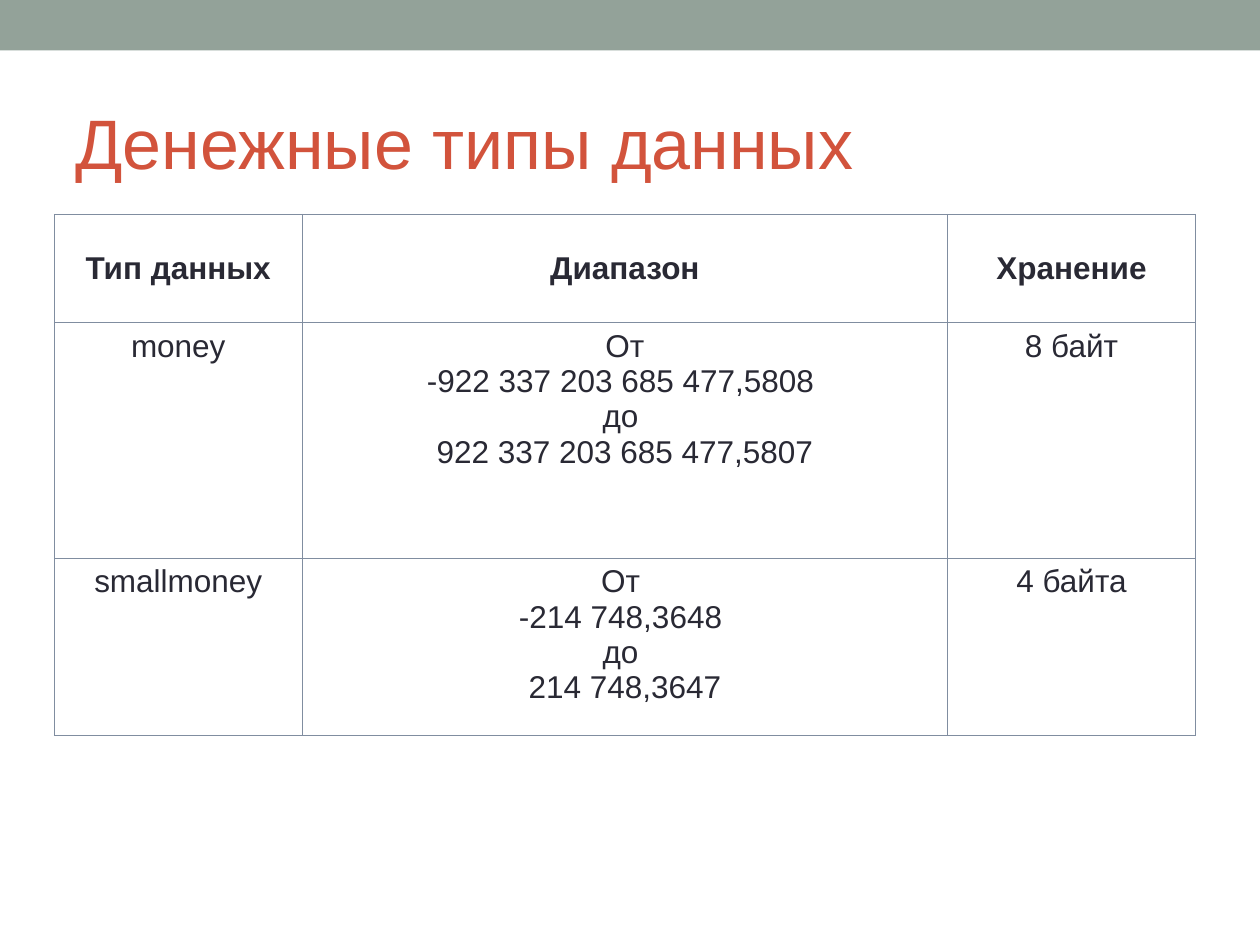
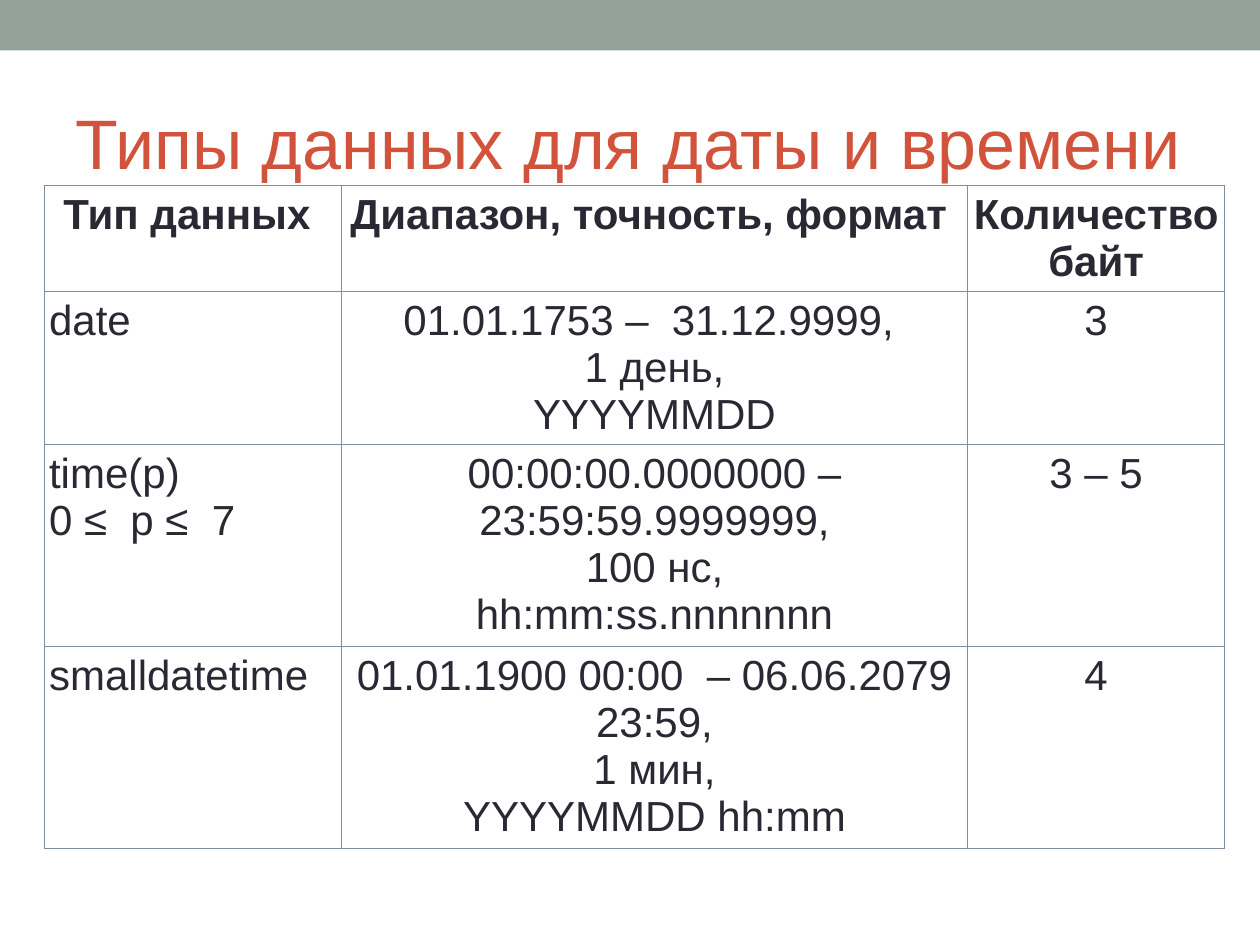
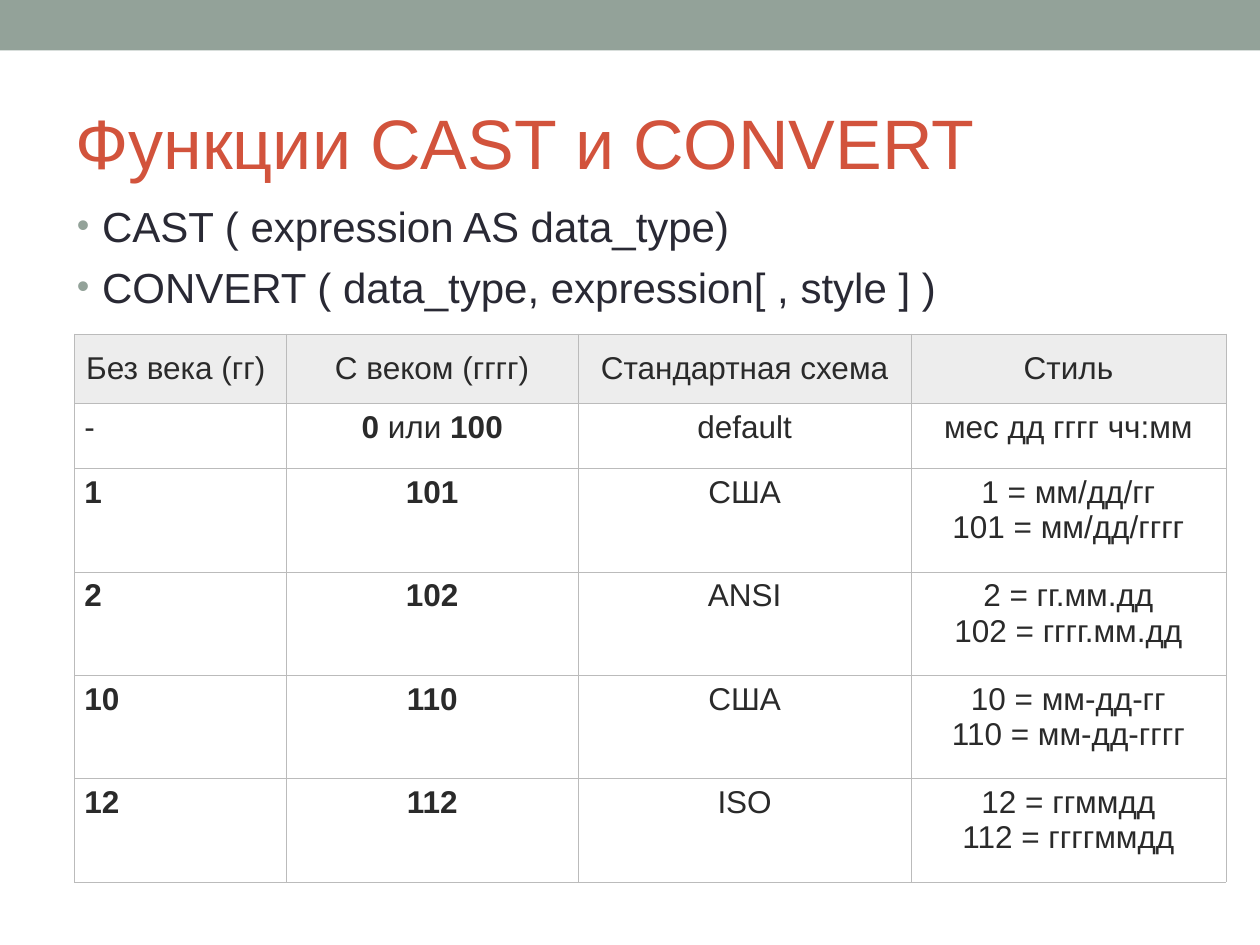
"""Build three slides on SQL data types and conversion functions."""
import pptx
import pptx.dml.color
import pptx.enum.shapes
import pptx.enum.text
import pptx.oxml
import pptx.oxml.ns
import pptx.util

Inches = pptx.util.Inches
Pt = pptx.util.Pt
ALIGN = pptx.enum.text.PP_ALIGN
ANCHOR = pptx.enum.text.MSO_ANCHOR
FONT = "Arial"
COLORS = {
    "band": "93A299",
    "title": "D2533C",
    "text": "292934",
    "line": "808DA0",
    "dark": "2A2A2A",
    "gray": "BBBBBB",
    "head": "EDEDED",
}

MONEY = [
    ["Тип данных", "Диапазон", "Хранение"],
    ["money", "От\n-922 337 203 685 477,5808 \nдо \n922 337 203 685 477,5807", "8 байт"],
    ["smallmoney", "От \n-214 748,3648 \nдо \n214 748,3647", "4 байта"],
]
DATES = [
    ["Тип данных ", "Диапазон, точность, формат ", "Количество байт"],
    ["date", "01.01.1753 –  31.12.9999, \n1 день,\nYYYYMMDD", "3"],
    ["time(p)\n0 ≤  p ≤  7",
     "00:00:00.0000000 – 23:59:59.9999999,\n100 нс,\nhh:mm:ss.nnnnnnn", "3 – 5"],
    ["smalldatetime",
     "01.01.1900 00:00  – 06.06.2079 23:59,\n1 мин,\nYYYYMMDD hh:mm", "4"],
]
STYLES = [
    ["Без века (гг) ", "С веком (гггг)", "Стандартная схема", "Стиль"],
    ["-", "*0* или *100*", "default", "мес дд гггг чч:мм"],
    ["*1*", "*101*", "США", "1 = мм/дд/гг\n101 = мм/дд/гггг"],
    ["*2*", "*102*", "ANSI", "2 = гг.мм.дд\n102 = гггг.мм.дд"],
    ["*10*", "*110*", "США", "10 = мм-дд-гг\n110 = мм-дд-гггг"],
    ["*12*", "*112*", "ISO", "12 = ггммдд\n112 = ггггммдд"],
]


def rgb(name):
    """Return the named colour."""
    return pptx.dml.color.RGBColor.from_string(COLORS[name])


def write(frame, text, size=18, color="text", bold=False, align=ALIGN.LEFT):
    """Fill a frame line by line; stars enclose bold words."""
    frame.word_wrap = True
    for row, line in enumerate(text.split("\n")):
        para = frame.add_paragraph() if row else frame.paragraphs[0]
        para.alignment = align
        for part, words in enumerate(line.split("*")):
            if words:
                run = para.add_run()
                run.text = words
                run.font.name = FONT
                run.font.size = Pt(size)
                run.font.bold = bold or part % 2 == 1
                run.font.color.rgb = rgb(color)


def place(shape, left, top, width, height):
    """Move and size a shape in inches."""
    shape.left, shape.top = Inches(left), Inches(top)
    shape.width, shape.height = Inches(width), Inches(height)


def add_page(deck, title, layout=5):
    """Add a slide with the shared band and title."""
    page = deck.slides.add_slide(deck.slide_layouts[layout])
    band = page.shapes.add_shape(
        pptx.enum.shapes.MSO_SHAPE.RECTANGLE, 0, 0, deck.slide_width, Inches(0.4))
    band.shadow.inherit = False
    band.fill.solid()
    band.fill.fore_color.rgb = rgb("band")
    band.line.fill.background()
    head = page.shapes.title
    place(head, 0.5, 0.58, 9, 1.08)
    head.text_frame.vertical_anchor = ANCHOR.MIDDLE
    write(head.text_frame, title, size=40, color="title")
    return page


def add_list(page, text):
    """Fill the body placeholder with a bulleted list."""
    body = page.placeholders[1]
    place(body, 0.51, 1.54, 9.22, 5.59)
    frame = body.text_frame
    frame.auto_size = pptx.enum.text.MSO_AUTO_SIZE.NONE
    write(frame, text, size=24)
    space = pptx.oxml.ns.nsdecls("a")
    for para in frame.paragraphs:
        para.space_before = Pt(6)
        props = para._p.get_or_add_pPr()
        props.set("marL", str(Inches(0.2)))
        props.set("indent", str(-Inches(0.2)))
        for mark in (
            f'<a:buClr {space}><a:srgbClr val="{COLORS["band"]}"/></a:buClr>',
            f'<a:buSzPct {space} val="85000"/>',
            f'<a:buFont {space} typeface="{FONT}"/>',
            f'<a:buChar {space} char="•"/>',
        ):
            props.append(pptx.oxml.parse_xml(mark))


def edge(cell, color, widths):
    """Draw the left, right, top and bottom cell borders."""
    props = cell._tc.get_or_add_tcPr()
    space = pptx.oxml.ns.nsdecls("a")
    for spot, (side, width) in enumerate(zip("LRTB", widths)):
        props.insert(spot, pptx.oxml.parse_xml(
            f'<a:ln{side} {space} w="{Pt(width)}"><a:solidFill>'
            f'<a:srgbClr val="{COLORS[color]}"/></a:solidFill></a:ln{side}>'))


def add_grid(page, data, spot, cols, rows, size=18, color="text", line="line",
             thin=0.45, rule=0.96, pad=0.08, bold=True, fill=None,
             anchor=ANCHOR.MIDDLE, first=ALIGN.LEFT):
    """Add a table with a header row and bordered cells."""
    grid = page.shapes.add_table(
        len(rows), len(cols), Inches(spot[0]), Inches(spot[1]),
        Inches(sum(cols)), Inches(sum(rows))).table
    grid.first_row = grid.horz_banding = False
    for col, width in zip(grid.columns, cols):
        col.width = Inches(width)
    for row, height in zip(grid.rows, rows):
        row.height = Inches(height)
    for r, texts in enumerate(data):
        for c, text in enumerate(texts):
            cell = grid.cell(r, c)
            cell.margin_left = cell.margin_right = Inches(pad)
            cell.margin_top = cell.margin_bottom = Inches(0.05)
            cell.vertical_anchor = ANCHOR.TOP if r else anchor
            if fill and r == 0:
                cell.fill.solid()
                cell.fill.fore_color.rgb = rgb(fill)
            else:
                cell.fill.background()
            edge(cell, line, (thin, thin, rule if r == 1 else thin,
                              rule if r == 0 else thin))
            write(cell.text_frame, text, size=size, color=color,
                  bold=bold and r == 0,
                  align=first if r and c == 0 else ALIGN.CENTER)


def main():
    """Build and save the deck."""
    deck = pptx.Presentation()
    deck.slide_width, deck.slide_height = Inches(10), Inches(7.5)

    page = add_page(deck, "Денежные типы данных")
    add_grid(page, MONEY, (0.43, 1.7), [1.97, 5.12, 1.97], [0.86, 1.87, 1.41],
             first=ALIGN.CENTER)

    page = add_page(deck, "Типы данных для даты и времени")
    add_grid(page, DATES, (0.35, 1.47), [2.36, 4.97, 2.04], [0.8, 1.2, 1.6, 1.6],
             size=24, pad=0.04, anchor=ANCHOR.TOP)

    page = add_page(deck, "Функции CAST и CONVERT", layout=1)
    add_list(page, "CAST ( expression AS data_type)\n"
                   "CONVERT ( data_type, expression[ , style ] )")
    add_grid(page, STYLES, (0.59, 2.65), [1.68, 2.32, 2.64, 2.5],
             [0.55, 0.52] + [0.82] * 4, color="dark", line="gray",
             thin=0.34, rule=0.34, bold=False, fill="head")

    deck.save("out.pptx")


if __name__ == "__main__":
    main()
